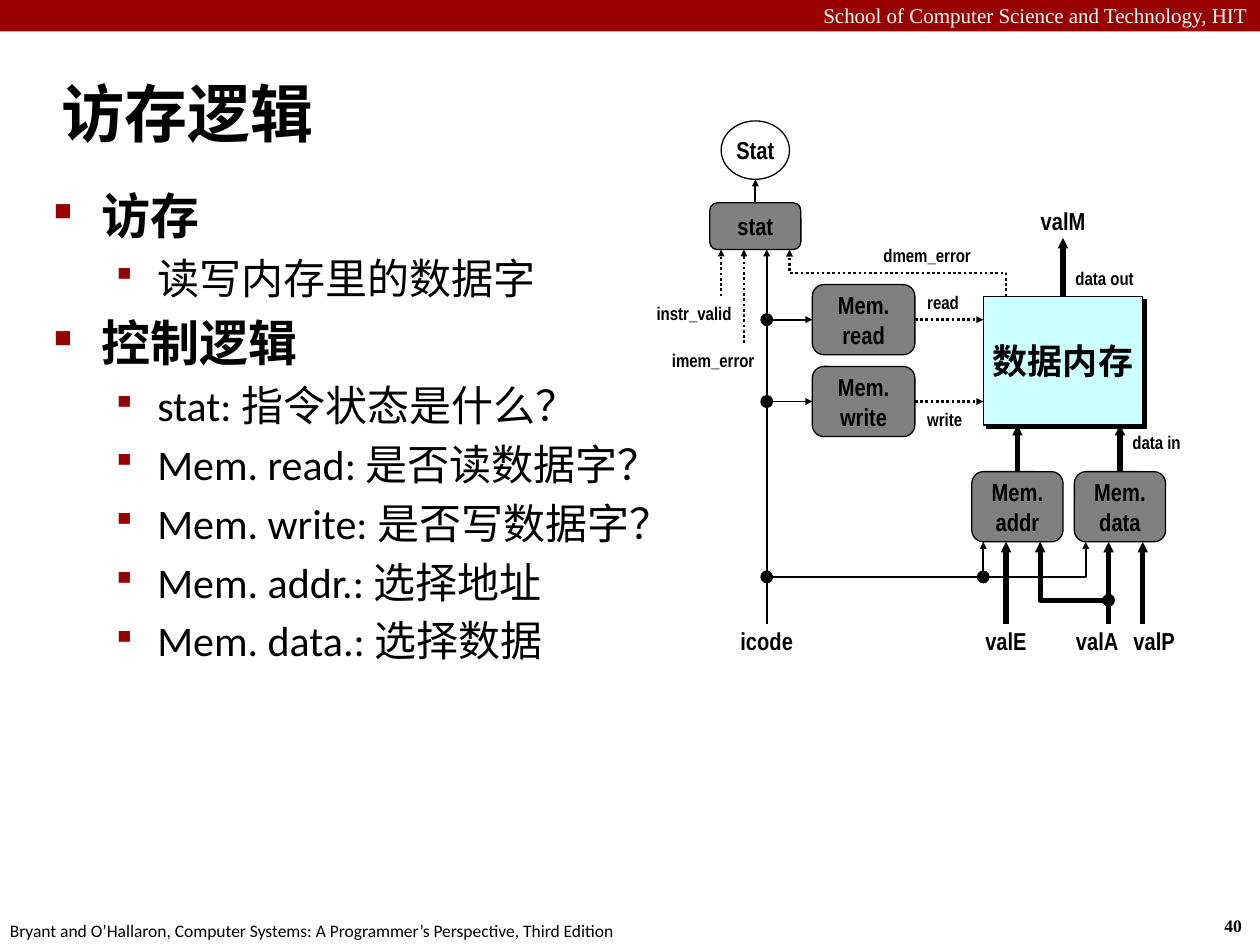
from lxml import etree
from pptx import Presentation
from pptx.dml.color import RGBColor
from pptx.enum.dml import MSO_LINE
from pptx.enum.shapes import MSO_CONNECTOR, MSO_SHAPE
from pptx.enum.text import MSO_ANCHOR, PP_ALIGN
from pptx.oxml.ns import qn
from pptx.util import Inches, Pt

RED, BLACK, WHITE, GRAY, CYAN = "990000", "000000", "FFFFFF", "808080", "CCFFFF"
SERIF, SANS, NARROW = "Times New Roman", "Calibri", "Arial Narrow"
LEFT, CENTER, RIGHT = PP_ALIGN.LEFT, PP_ALIGN.CENTER, PP_ALIGN.RIGHT


def rgb(color):
    return RGBColor.from_string(color)


def add_xml(parent, tag, **attrs):
    return etree.SubElement(parent, qn(tag), attrs)


def style_run(r, size, font, color=BLACK, bold=False):
    r.font.size, r.font.name, r.font.bold = Pt(size), font, bold
    r.font.color.rgb = rgb(color)


def write(sp, text, size, font, color=BLACK, bold=False, align=LEFT,
          anchor=MSO_ANCHOR.TOP, wrap=True, side=0.1):
    tf = sp.text_frame
    tf.text = text
    tf.word_wrap, tf.vertical_anchor = wrap, anchor
    tf.margin_left = tf.margin_right = Inches(side)
    for p in tf.paragraphs:
        p.alignment = align
        for r in p.runs:
            style_run(r, size, font, color, bold)


def add_text(s, box, text, size, font, **style):
    sp = s.shapes.add_textbox(*map(Inches, box))
    write(sp, text, size, font, **style)


def add_block(s, kind, box, fill, outline=BLACK):
    sp = s.shapes.add_shape(kind, *map(Inches, box))
    sp.shadow.inherit = False
    sp.fill.solid()
    sp.fill.fore_color.rgb = rgb(fill)
    if outline:
        sp.line.color.rgb = rgb(outline)
        sp.line.width = Pt(0.75)
    else:
        sp.line.fill.background()
    return sp


def add_hard_shadow(sp):
    effects = sp._element.spPr.find(qn("a:effectLst"))
    shadow = add_xml(effects, "a:outerShdw", blurRad="0", dist=str(Pt(2.8)),
                     dir="2700000", algn="ctr", rotWithShape="0")
    add_xml(shadow, "a:srgbClr", val=BLACK)


def add_wire(s, points, width, dotted=False):
    """Join the points (in inches); the arrowhead sits at the last one."""
    points = [(Inches(x), Inches(y)) for x, y in points]
    if len(points) == 2:
        sp = s.shapes.add_connector(MSO_CONNECTOR.STRAIGHT, *points[0], *points[1])
        add_xml(sp._element.spPr, "a:effectLst")
    else:
        builder = s.shapes.build_freeform(*points[0])
        builder.add_line_segments(points[1:], close=False)
        sp = builder.convert_to_shape()
        sp.fill.background()
        sp.shadow.inherit = False
    sp.line.color.rgb = rgb(BLACK)
    sp.line.width = Pt(width)
    if dotted:
        sp.line.dash_style = MSO_LINE.ROUND_DOT
    add_xml(sp.line._get_or_add_ln(), "a:tailEnd", type="triangle", w="sm", len="sm")


def add_frame(s, w, h):
    add_block(s, MSO_SHAPE.RECTANGLE, (0, 0, w, 0.25), RED, None)
    add_text(s, (0, -0.03, w, 0.3), "School of Computer Science and Technology, HIT",
             12, SERIF, color=WHITE, align=RIGHT)
    add_text(s, (w - 0.38, h - 0.29, 0.37, 0.27), "40", 10, SERIF, bold=True, wrap=False)
    add_text(s, (-0.02, h - 0.25, 5.08, 0.27),
             "Bryant and O’Hallaron, Computer Systems: A Programmer’s Perspective, Third Edition",
             10, SANS, wrap=False)


def add_outline(s, box, items):
    """Fill the box with (level, text) bullets."""
    # margin, hanging indent, size, bold, bullet, bullet size in percent
    levels = [(0.38, 0.38, 28, True, "■", 50), (0.82, 0.36, 24, False, "▪", 80)]
    tf = s.shapes.add_textbox(*map(Inches, box)).text_frame
    tf.word_wrap = True
    for i, (level, text) in enumerate(items):
        margin, hang, size, bold, bullet, percent = levels[level]
        p = tf.paragraphs[0] if i == 0 else tf.add_paragraph()
        p.text, p.level = text, level
        pPr = p._p.get_or_add_pPr()
        pPr.set("marL", str(Inches(margin)))
        pPr.set("indent", str(-Inches(hang)))
        add_xml(add_xml(pPr, "a:buClr"), "a:srgbClr", val=RED)
        add_xml(pPr, "a:buSzPct", val=str(percent * 1000))
        add_xml(pPr, "a:buChar", char=bullet)
        if i:
            p.space_before = Pt(size * 0.2)
        style_run(p.runs[0], size, SANS, bold=bold)


def add_memory_diagram(s, x, y, w, h):
    """Draw the memory stage on a grid of 45 columns and 43 rows."""
    col, row = w / 45, h / 43

    def at(c, r):
        return x + c * col, y + r * row

    def cells(c, r, wide, high):
        return (*at(c, r), wide * col, high * row)

    thick, thin, dots = (3, False), (1, False), (1.5, True)
    wires = [
        (thick, (42, 43), (42, 36)), (thick, (33, 43), (33, 36)),
        (thick, (45, 43), (45, 36)), (thick, (42, 41), (36, 41), (36, 36)),
        (thick, (34, 30), (34, 26)), (thick, (43, 30), (43, 26)),
        (thick, (38, 15), (38, 10)),
        (thin, (12, 43), (12, 17), (16, 17)), (thin, (12, 24), (16, 24)),
        (thin, (12, 17), (12, 11)), (thin, (11, 7), (11, 5)),
        (thin, (12, 39), (40, 39), (40, 36)), (thin, (31, 39), (31, 36)),
        (dots, (25, 17), (31, 17)), (dots, (25, 24), (31, 24)),
        (dots, (8, 15), (8, 11)), (dots, (10, 19), (10, 11)),
        (dots, (33, 15), (33, 13), (14, 13), (14, 11)),
    ]
    for (width, dotted), *points in wires:
        add_wire(s, [at(*pt) for pt in points], width, dotted)

    for c, r in [(12, 17), (12, 24), (12, 39), (31, 39), (42, 41)]:
        add_block(s, MSO_SHAPE.OVAL, cells(c - 0.5, r - 0.5, 1, 1), BLACK)

    centered = dict(bold=True, align=CENTER, anchor=MSO_ANCHOR.MIDDLE, wrap=False)
    memory = add_block(s, MSO_SHAPE.RECTANGLE, cells(31, 15, 14, 11), CYAN)
    add_hard_shadow(memory)
    write(memory, "数据内存", 20, NARROW, **centered)
    for box, text in [((16, 14, 9, 6), "Mem.\nread"), ((16, 21, 9, 6), "Mem.\nwrite"),
                      ((30, 30, 8, 6), "Mem.\naddr"), ((39, 30, 8, 6), "Mem.\ndata"),
                      ((7, 7, 8, 4), "stat")]:
        sp = add_block(s, MSO_SHAPE.ROUNDED_RECTANGLE, cells(*box), GRAY)
        write(sp, text, 14, NARROW, **centered)
    status = add_block(s, MSO_SHAPE.OVAL, cells(8, 0, 6, 5), WHITE)
    write(status, "Stat", 14, NARROW, **centered)

    for c, r, text in [(9, 42, "icode"), (30, 42, "valE"), (38, 42, "valA"),
                       (43, 42, "valP"), (35, 6, "valM")]:
        add_text(s, cells(c, r, 6, 5), text, 14, NARROW, side=0, **centered)
    for c, r, wide, text, align in [
            (25, 14, 8, "read", LEFT), (25, 24, 7, "write", LEFT),
            (38, 12, 10, "data out", LEFT), (43, 26, 10, "data in", LEFT),
            (15, 10, 16, "dmem_error", RIGHT), (0, 15, 10, "instr_valid", RIGHT),
            (1, 19, 11, "imem_error", RIGHT)]:
        add_text(s, cells(c, r, wide, 3), text, 10.5, NARROW, bold=True, align=align)


def main():
    prs = Presentation()
    prs.slide_width, prs.slide_height = Inches(10), Inches(7.5)
    s = prs.slides.add_slide(prs.slide_layouts[6])
    add_frame(s, 10, 7.5)
    add_text(s, (0.39, 0.48, 9.61, 0.83), "访存逻辑", 36, SANS, bold=True,
             anchor=MSO_ANCHOR.MIDDLE)
    add_outline(s, (0.33, 1.42, 5.1, 5.01), [
        (0, "访存"), (1, "读写内存里的数据字"),
        (0, "控制逻辑"), (1, "stat: 指令状态是什么？"),
        (1, "Mem. read: 是否读数据字？"), (1, "Mem. write: 是否写数据字？"),
        (1, "Mem. addr.: 选择地址"), (1, "Mem. data.: 选择数据")])
    add_memory_diagram(s, 5, 0.96, 4.07, 3.99)
    prs.save("out.pptx")


if __name__ == "__main__":
    main()
